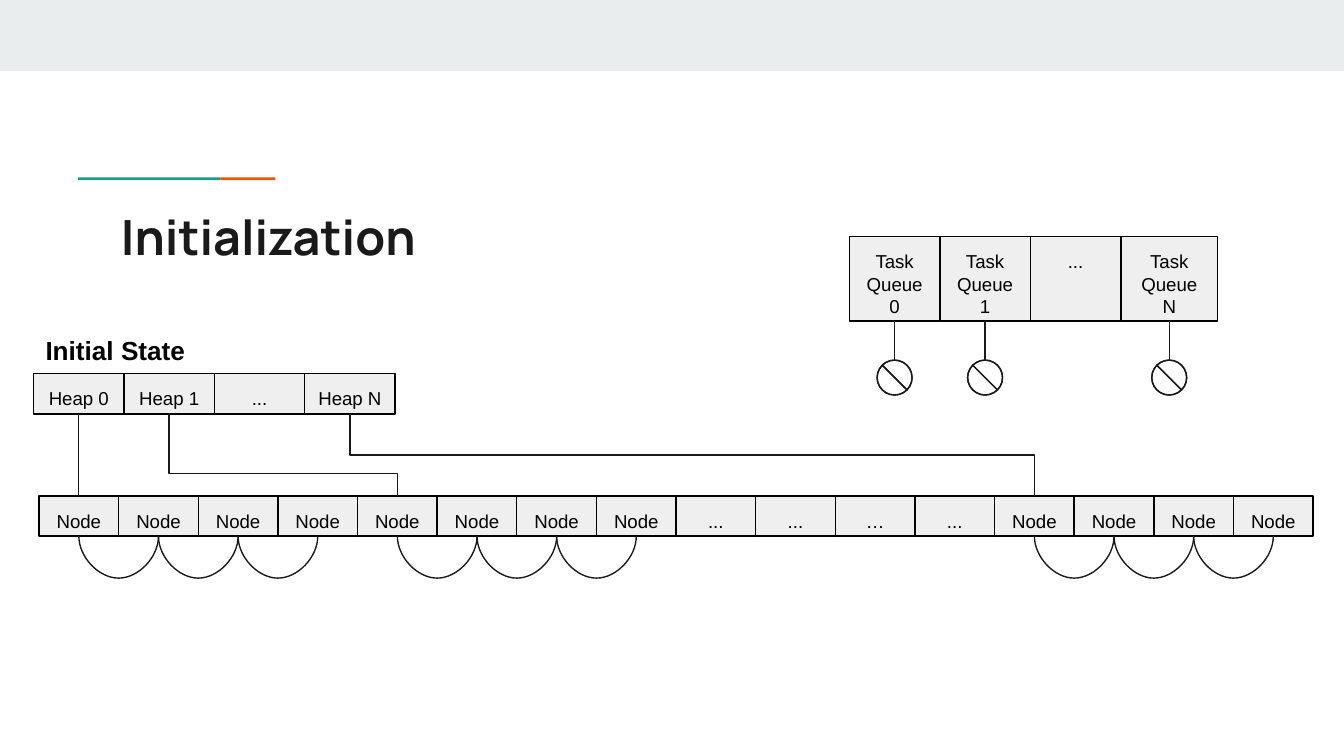
from dataclasses import dataclass
from itertools import accumulate

from lxml.etree import SubElement
from pptx import Presentation
from pptx.dml.color import RGBColor
from pptx.enum.shapes import MSO_CONNECTOR as Link, MSO_SHAPE as Shape
from pptx.enum.text import MSO_ANCHOR as Anchor, PP_ALIGN as Align
from pptx.oxml.ns import qn
from pptx.shapes.autoshape import Shape as Box
from pptx.shapes.connector import Connector
from pptx.slide import Slide
from pptx.text.text import TextFrame
from pptx.util import Emu, Inches, Pt

BLACK = RGBColor(0x00, 0x00, 0x00)
INK = RGBColor(0x1A, 0x1A, 0x1A)
MIST = RGBColor(0xE9, 0xED, 0xEE)
CELL_GREY = RGBColor(0xEF, 0xEF, 0xEF)
TEAL = RGBColor(0x1A, 0x99, 0x88)
ORANGE = RGBColor(0xEB, 0x56, 0x00)

PAGE_WIDTH = Inches(10)
PAGE_HEIGHT = Emu(PAGE_WIDTH * 9 // 16)
LINE_WIDTH = Pt(0.75)
SIGN_SIZE = 0.26
SIGN_TOP = 2.68
TOP, BOTTOM = 0, 2  # connection sites of a rectangle
HAIR = Emu(600)  # nearly flat extent that the curve's bulge is scaled from
BULGE = 396.875


@dataclass
class Row:
    left: float
    top: float
    height: float
    widths: list[float]
    labels: list[str]


@dataclass
class Elbow:
    heap: int
    node: int
    bend: float


NODES = Row(0.29, 3.69, 0.3, [9.48 / 16] * 16,
            ["Node"] * 8 + ["...", "...", "…", "..."] + ["Node"] * 4)
HEAPS = Row(0.25, 2.78, 0.3, [2.69 / 4] * 4, ["Heap 0", "Heap 1", "...", "Heap N"])
QUEUES = Row(6.32, 1.76, 0.63, [2.02 / 3] * 3 + [0.72],
             ["Task Queue 0", "Task Queue 1", "...", "Task Queue N"])
ELBOWS = [Elbow(1, 4, 0.725), Elbow(3, 12, 0.5)]
LIST_STARTS = [0, 4, 12]
LIST_LENGTH = 4
EMPTY_QUEUES = [0, 1, 3]


def add_block(page: Slide, kind: Shape, left: float, top: float, width: float,
              height: float, fill: RGBColor, line: RGBColor | None = None) -> Box:
    box = page.shapes.add_shape(kind, Inches(left), Inches(top),
                                Inches(width), Inches(height))
    box.shadow.inherit = False
    box.fill.solid()
    box.fill.fore_color.rgb = fill
    if line is None:
        box.line.fill.background()
    else:
        box.line.color.rgb = line
        box.line.width = LINE_WIDTH
    return box


def write(frame: TextFrame, text: str, font: str, size: int, color: RGBColor,
          bold: bool = False, align: Align = Align.LEFT, side: float = 0.1) -> None:
    frame.word_wrap = True
    frame.vertical_anchor = Anchor.TOP
    frame.margin_left = frame.margin_right = Inches(side)
    frame.margin_top = frame.margin_bottom = Inches(0.1)
    frame.text = text
    para = frame.paragraphs[0]
    para.alignment = align
    para.font.name = font
    para.font.size = Pt(size)
    para.font.bold = bold
    para.font.color.rgb = color


def add_row(page: Slide, row: Row) -> list[Box]:
    lefts = accumulate(row.widths, initial=row.left)
    cells = []
    for left, width, label in zip(lefts, row.widths, row.labels):
        cell = add_block(page, Shape.RECTANGLE, left, row.top, width, row.height,
                         CELL_GREY, BLACK)
        write(cell.text_frame, label, "Arial", 10, BLACK, align=Align.CENTER, side=0.09)
        cells.append(cell)
    return cells


def add_link(page: Slide, kind: Link, start: Box, end: Box, end_site: int) -> Connector:
    """Join the bottom of one cell to a side of another."""
    link = page.shapes.add_connector(kind, 0, 0, 0, 0)
    link.begin_connect(start, BOTTOM)
    link.end_connect(end, end_site)
    style_link(link)
    return link


def style_link(link: Connector) -> None:
    link.line.color.rgb = INK
    link.line.width = LINE_WIDTH
    SubElement(link._element.spPr, qn("a:effectLst"))


def turn_downward(link: Connector, bend: float, min_drop: int = 0) -> None:
    """Rotate a bent or curved link so that it leaves its first cell vertically."""
    across = link.end_x - link.begin_x
    drop = max(link.end_y - link.begin_y, min_drop)
    center_x = (link.begin_x + link.end_x) // 2
    center_y = (link.begin_y + link.end_y) // 2
    link.left, link.top = Emu(center_x - drop // 2), Emu(center_y - across // 2)
    link.width, link.height = Emu(drop), Emu(across)
    frame = link._element.spPr.find(qn("a:xfrm"))
    for name, value in (("rot", "16200000"), ("flipH", "1"), ("flipV", "0")):
        frame.set(name, value)
    values = link._element.spPr.find(qn("a:prstGeom")).find(qn("a:avLst"))
    SubElement(values, qn("a:gd"), name="adj1", fmla=f"val {round(bend * 100000)}")


def add_empty_sign(page: Slide, queue: Box) -> None:
    """Hang a crossed circle below a task queue that holds nothing."""
    center = queue.left + queue.width // 2
    link = page.shapes.add_connector(Link.STRAIGHT, center, queue.top + queue.height,
                                     center, Inches(SIGN_TOP))
    link.begin_connect(queue, BOTTOM)
    style_link(link)
    sign = add_block(page, Shape.NO_SYMBOL, Emu(center).inches - SIGN_SIZE / 2,
                     SIGN_TOP, SIGN_SIZE, SIGN_SIZE, MIST, INK)
    sign.adjustments[0] = 0


def main() -> None:
    deck = Presentation()
    deck.slide_width, deck.slide_height = PAGE_WIDTH, PAGE_HEIGHT
    page = deck.slides.add_slide(deck.slide_layouts[5])

    add_block(page, Shape.RECTANGLE, 0, 0, 10, 0.53, MIST)
    add_block(page, Shape.RECTANGLE, 1.64, 1.32, 0.41, 0.02, ORANGE)
    add_block(page, Shape.RECTANGLE, 0.58, 1.32, 1.06, 0.02, TEAL)

    title = page.shapes.title
    title.left, title.top = Inches(0.8), Inches(1.44)
    title.width, title.height = Inches(8.41), Inches(0.59)
    write(title.text_frame, "Initialization", "Manrope", 26, INK, bold=True)

    nodes = add_row(page, NODES)
    heaps = add_row(page, HEAPS)
    queues = add_row(page, QUEUES)

    caption = page.shapes.add_textbox(Inches(0.24), Inches(2.39), Inches(1.88), Inches(0.36))
    write(caption.text_frame, "Initial State", "Arial", 14, BLACK, bold=True)

    add_link(page, Link.STRAIGHT, heaps[0], nodes[0], TOP)
    for elbow in ELBOWS:
        link = add_link(page, Link.ELBOW, heaps[elbow.heap], nodes[elbow.node], TOP)
        turn_downward(link, elbow.bend)

    for first in LIST_STARTS:
        chain = nodes[first:first + LIST_LENGTH]
        for node, following in zip(chain, chain[1:]):
            link = add_link(page, Link.CURVE, node, following, BOTTOM)
            turn_downward(link, BULGE, HAIR)

    for index in EMPTY_QUEUES:
        add_empty_sign(page, queues[index])

    deck.save("out.pptx")


if __name__ == "__main__":
    main()
